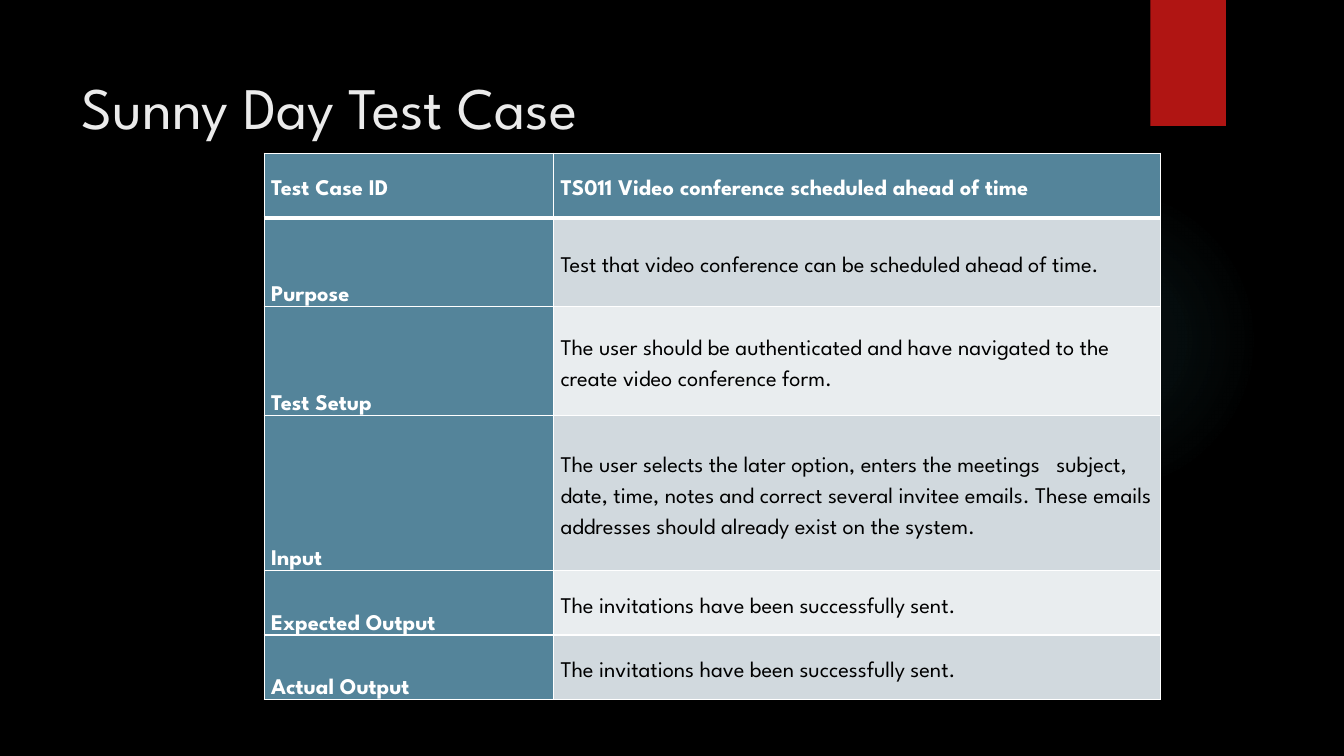
import pptx
import pptx.dml.color
import pptx.enum.shapes
import pptx.enum.text
import pptx.oxml
import pptx.oxml.ns
import pptx.util

Inches = pptx.util.Inches
Pt = pptx.util.Pt
Anchor = pptx.enum.text.MSO_ANCHOR
Shape = pptx.enum.shapes.MSO_SHAPE

TEST_CASE = [
    ("Test Case ID", "TS011 Video conference scheduled ahead of time", 0.64),
    ("Purpose", "Test that video conference can be scheduled ahead of time.", 0.88),
    ("Test Setup", "The user should be authenticated and have navigated to the "
     "create video conference form.", 1.08),
    ("Input", "The user selects the later option, enters the meetings   subject, "
     "date, time, notes and correct several invitee emails. These emails "
     "addresses should already exist on the system.", 1.54),
    ("Expected Output", "The invitations have been successfully sent.", 0.64),
    ("Actual Output", "The invitations have been successfully sent.", 0.64),
]
COLUMN_WIDTHS = (2.87, 6.02)


def color(value):
    return pptx.dml.color.RGBColor.from_string(value)


class SlideBuilder:
    """Holds the style and the current slide, and adds each kind of element."""

    font = "League Spartan"
    accent, glow, teal, white = "B01513", "50B9C1", "54849A", "FFFFFF"
    bands = ("E9EDEF", "D1D9DE")

    def __init__(self, presentation):
        self.slide = presentation.slides.add_slide(presentation.slide_layouts[5])
        background = self.slide.background.fill
        background.solid()
        background.fore_color.rgb = color("000000")

    def style(self, paragraph, size, text_color, bold=False):
        paragraph.font.name = self.font
        paragraph.font.size = Pt(size)
        paragraph.font.bold = bold
        paragraph.font.color.rgb = color(text_color)

    def add_shape(self, kind, left, top, width, height, fill):
        shape = self.slide.shapes.add_shape(
            kind, Inches(left), Inches(top), Inches(width), Inches(height))
        shape.shadow.inherit = False
        shape.line.fill.background()
        shape.fill.solid()
        shape.fill.fore_color.rgb = color(fill)
        return shape

    def add_glow(self, left, top, size):
        shape = self.add_shape(Shape.OVAL, left, top, size, size, self.glow)
        stops = "".join(
            f'<a:gs pos="{position}000"><a:srgbClr val="{self.glow}">'
            f'<a:alpha val="{alpha}000"/></a:srgbClr></a:gs>'
            for position, alpha in ((0, 7), (36, 6), (69, 0)))
        gradient = pptx.oxml.parse_xml(
            f'<a:gradFill {pptx.oxml.ns.nsdecls("a")}><a:gsLst>{stops}</a:gsLst>'
            '<a:path path="circle"><a:fillToRect l="50000" t="50000" r="50000" '
            'b="50000"/></a:path></a:gradFill>')
        properties = shape.fill._xPr
        properties.replace(properties.find(pptx.oxml.ns.qn("a:solidFill")), gradient)

    def add_title(self, text, left, top, width, height):
        title = self.slide.shapes.title
        title.left, title.top = Inches(left), Inches(top)
        title.width, title.height = Inches(width), Inches(height)
        frame = title.text_frame
        frame.text = text
        frame.vertical_anchor = Anchor.TOP
        frame.margin_top = Inches(0.2)
        paragraph = frame.paragraphs[0]
        paragraph.alignment = pptx.enum.text.PP_ALIGN.LEFT
        self.style(paragraph, 42, "EBEBEB")

    def add_borders(self, cell, top, bottom):
        properties = cell._tc.get_or_add_tcPr()
        widths = {"L": 1, "R": 1, "T": top, "B": bottom}
        for index, (side, width) in enumerate(widths.items()):
            properties.insert(index, pptx.oxml.parse_xml(
                f'<a:ln{side} {pptx.oxml.ns.nsdecls("a")} w="{Pt(width)}"><a:solidFill>'
                f'<a:srgbClr val="{self.white}"/></a:solidFill></a:ln{side}>'))

    def fill_cell(self, cell, text, row, column):
        heading = row == 0 or column == 0
        cell.text = text
        cell.vertical_anchor = Anchor.BOTTOM if row and not column else Anchor.MIDDLE
        cell.margin_left = cell.margin_right = Inches(0.07)
        cell.margin_top = cell.margin_bottom = 0
        cell.fill.solid()
        cell.fill.fore_color.rgb = color(self.teal if heading else self.bands[row % 2])
        paragraph = cell.text_frame.paragraphs[0]
        paragraph.line_spacing = 1.5
        self.style(paragraph, 16, self.white if heading else "000000", heading)
        self.add_borders(cell, 3 if row == 1 else 1, 3 if row == 0 else 1)

    def add_table(self, rows, widths, left, top):
        height = sum(row[-1] for row in rows)
        table = self.slide.shapes.add_table(
            len(rows), len(widths), Inches(left), Inches(top),
            Inches(sum(widths)), Inches(height)).table
        for column, width in enumerate(widths):
            table.columns[column].width = Inches(width)
        for row, (*texts, row_height) in enumerate(rows):
            table.rows[row].height = Inches(row_height)
            for column, text in enumerate(texts):
                self.fill_cell(table.cell(row, column), text, row, column)


def main():
    presentation = pptx.Presentation()
    presentation.slide_width = Inches(13.33)
    presentation.slide_height = Inches(7.5)
    builder = SlideBuilder(presentation)
    builder.add_glow(9.41, 1.83, 3.08)
    builder.add_shape(Shape.RECTANGLE, 11.41, 0, 0.75, 1.25, builder.accent)
    builder.add_table(TEST_CASE, COLUMN_WIDTHS, 2.62, 1.52)
    builder.add_title("Sunny Day Test Case", 0.71, 0.5, 10.29, 1.53)
    presentation.save("out.pptx")


if __name__ == "__main__":
    main()
